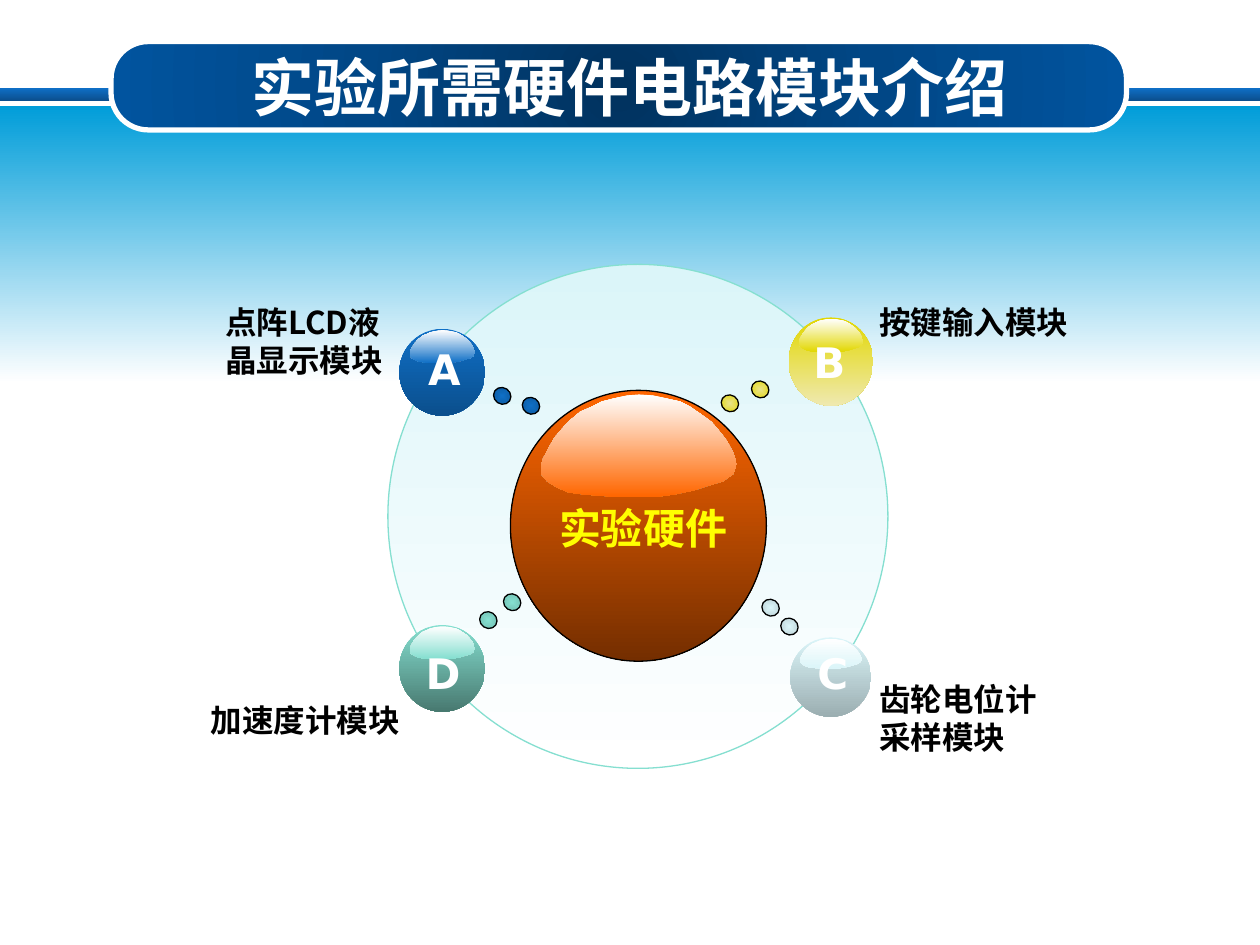
from copy import deepcopy

from lxml.etree import SubElement
from pptx import Presentation
from pptx.dml.color import RGBColor
from pptx.enum.shapes import MSO_SHAPE
from pptx.enum.text import MSO_ANCHOR, MSO_AUTO_SIZE, PP_ALIGN
from pptx.oxml.ns import qn
from pptx.util import Cm, Pt

# Content: lengths in centimetres, boxes as left, top, width, height
TITLE = "实验所需硬件电路模块介绍"
HUB = "实验硬件"
HUB_BOX = (10.29, 7.87, 5.16, 5.46)
MODULES = [
    dict(letter="D", letter_at=(8.33, 12.93), ball=(8.05, 12.6, 1.73, 1.75),
         dots=[(9.68, 12.32), (10.16, 11.96)], label="加速度计模块",
         label_box=(3.71, 14, 4.6, 1.02), align=PP_ALIGN.RIGHT),
    dict(letter="B", letter_at=(16.15, 6.65), ball=(15.9, 6.4, 1.7, 1.78),
         dots=[(15.16, 7.67), (14.55, 7.95)], label="按键输入模块",
         label_box=(17.48, 5.99, 4.5, 1.02), align=PP_ALIGN.LEFT),
    dict(letter="C", letter_at=(16.23, 12.93), ball=(15.93, 12.85, 1.63, 1.6),
         dots=[(15.75, 12.45), (15.37, 12.07)], label="齿轮电位计采样模块",
         label_box=(17.48, 13.59, 3.86, 1.8), align=PP_ALIGN.LEFT),
    dict(letter="A", letter_at=(8.38, 6.81), ball=(8.05, 6.63, 1.73, 1.75),
         dots=[(9.96, 7.8), (10.54, 8)], label="点阵LCD液晶显示模块",
         label_box=(4.29, 5.99, 3.96, 1.8), align=PP_ALIGN.LEFT),
]
COLORS = {
    "white": "FFFFFF", "black": "000000", "yellow": "FFFF00", "sky": "009DD9",
    "rail": "0F6FC6", "rail_end": "0B4F8E", "ring": "DBF5F9", "ring_line": "85DFD0",
    "pill": "01325E", "pill_mid": "014786", "pill_end": "01549F",
    "hub": "FF6600", "hub_end": "742E00",
    "A": "0F6FC6", "A_end": "0B4F8D", "A_dot": "0F6FC6", "A_rim": "0C579C",
    "B": "E2D700", "B_end": "EFE9B0", "B_dot": "E9E28A", "B_rim": "E2D700",
    "C": "DBF5F9", "C_end": "9BAEB1", "C_dot": "DBF5F9", "C_rim": "B8CDD1",
    "D": "85DFD0", "D_end": "487970", "D_dot": "85DFD0", "D_rim": "70BBAE",
}
CJK_FONT = "Noto Sans CJK JP"
DOT_SIZE = (0.33, 0.36)

# Highlight on a ball: its box as shares of the ball, its outline in percent of that box
GLOSS_BOX = (0.12, 0.015, 0.765, 0.377)
GLOSS = [
    (98, 57), (100, 68), (98, 78), (93, 85), (86, 89), (78, 94), (68, 98), (60, 100),
    (36, 100), (22, 98), (14, 96), (8, 91), (3, 85), (0, 78), (0, 69), (1, 63),
    (4, 52), (7, 42), (11, 33), (15, 25), (20, 17), (26, 12), (31, 7), (37, 4),
    (44, 1), (50, 0), (57, 1), (64, 4), (71, 7), (76, 12), (82, 20), (87, 27),
    (91, 36), (95, 46),
]

presentation = Presentation()
presentation.slide_width, presentation.slide_height = Cm(25.4), Cm(19.05)
slide = presentation.slides.add_slide(presentation.slide_layouts[6])


def color(name):
    return RGBColor.from_string(COLORS[name])


def paint(shape, names, line=None, width=0.75, path=None):
    """Gradient fill: downwards, or outwards from the centre when a path is given."""
    shape.shadow.inherit = False
    shape.fill.gradient()
    shape.fill.gradient_angle = 270
    gradient = shape._element.spPr.find(qn("a:gradFill"))
    if len(names) == 3:
        stops = gradient.find(qn("a:gsLst"))
        stops.insert(1, deepcopy(stops[0]))
        stops[1].set("pos", "50000")
    for stop, name in zip(shape.fill.gradient_stops, names):
        stop.color.rgb = color(name)
    if path:
        gradient.remove(gradient.find(qn("a:lin")))
        centre = SubElement(gradient, qn("a:path"), path=path)
        SubElement(centre, qn("a:fillToRect"), dict.fromkeys("ltrb", "50000"))
    if line:
        shape.line.color.rgb = color(line)
        shape.line.width = Pt(width)
    else:
        shape.line.fill.background()


def add_part(kind, box, names, **style):
    shape = slide.shapes.add_shape(kind, *map(Cm, box))
    paint(shape, names, **style)
    return shape


def add_text(text, box, size, ink, font=CJK_FONT, align=PP_ALIGN.LEFT, wrap=True):
    text_box = slide.shapes.add_textbox(*map(Cm, box))
    frame = text_box.text_frame
    frame.word_wrap = wrap
    frame.auto_size = MSO_AUTO_SIZE.SHAPE_TO_FIT_TEXT
    paragraph = frame.paragraphs[0]
    paragraph.text = text
    paragraph.alignment = align
    paragraph.font.name = font
    paragraph.font.size = Pt(size)
    paragraph.font.bold = True
    paragraph.font.color.rgb = color(ink)
    SubElement(paragraph.font._element, qn("a:ea"), typeface=CJK_FONT)
    return frame


def add_ball(box, name, line=None):
    add_part(MSO_SHAPE.OVAL, box, (name, name + "_end"), line=line)
    left, top, width, height = box
    x, y, across, down = GLOSS_BOX
    points = [(Cm(left + width * (x + across * px / 100)),
               Cm(top + height * (y + down * py / 100))) for px, py in GLOSS]
    builder = slide.shapes.build_freeform(*points[0])
    builder.add_line_segments(points[1:], close=True)
    paint(builder.convert_to_shape(), ("white", name))


# Banner and title
add_part(MSO_SHAPE.RECTANGLE, (0, 1.78, 25.4, 0.25), ("rail", "rail_end"))
add_part(MSO_SHAPE.RECTANGLE, (0, 2.13, 25.4, 5.59), ("sky", "white"))
pill = add_part(MSO_SHAPE.ROUNDED_RECTANGLE, (2.24, 0.84, 20.47, 1.78),
                ("pill", "pill_mid", "pill_end"), line="white", width=3, path="circle")
pill.adjustments[0] = 0.42
title = add_text(TITLE, (1.27, 0.76, 22.86, 1.96), 36, "white", "Calibri", PP_ALIGN.CENTER)
title.auto_size = MSO_AUTO_SIZE.NONE
title.vertical_anchor = MSO_ANCHOR.MIDDLE

# Ring and hub
add_part(MSO_SHAPE.OVAL, (7.82, 5.33, 10.08, 10.16), ("ring", "white"), line="ring_line")
add_ball(HUB_BOX, "hub", line="black")
add_text(HUB, (11.02, 10.01, 3.96, 1.27), 24, "yellow", "Calibri", wrap=False)

# Modules around the hub
for module in MODULES:
    letter = module["letter"]
    add_ball(module["ball"], letter)
    add_text(letter, (*module["letter_at"], 1.17, 1.28), 24, "white", "DejaVu Sans", wrap=False)
    for dot_at in module["dots"]:
        dot = add_part(MSO_SHAPE.OVAL, (*dot_at, *DOT_SIZE),
                       (letter + "_dot", letter + "_rim"), line="black", path="shape")
        dot.rotation = 303.8
    add_text(module["label"], module["label_box"], 18, "black", align=module["align"])

presentation.save("out.pptx")
